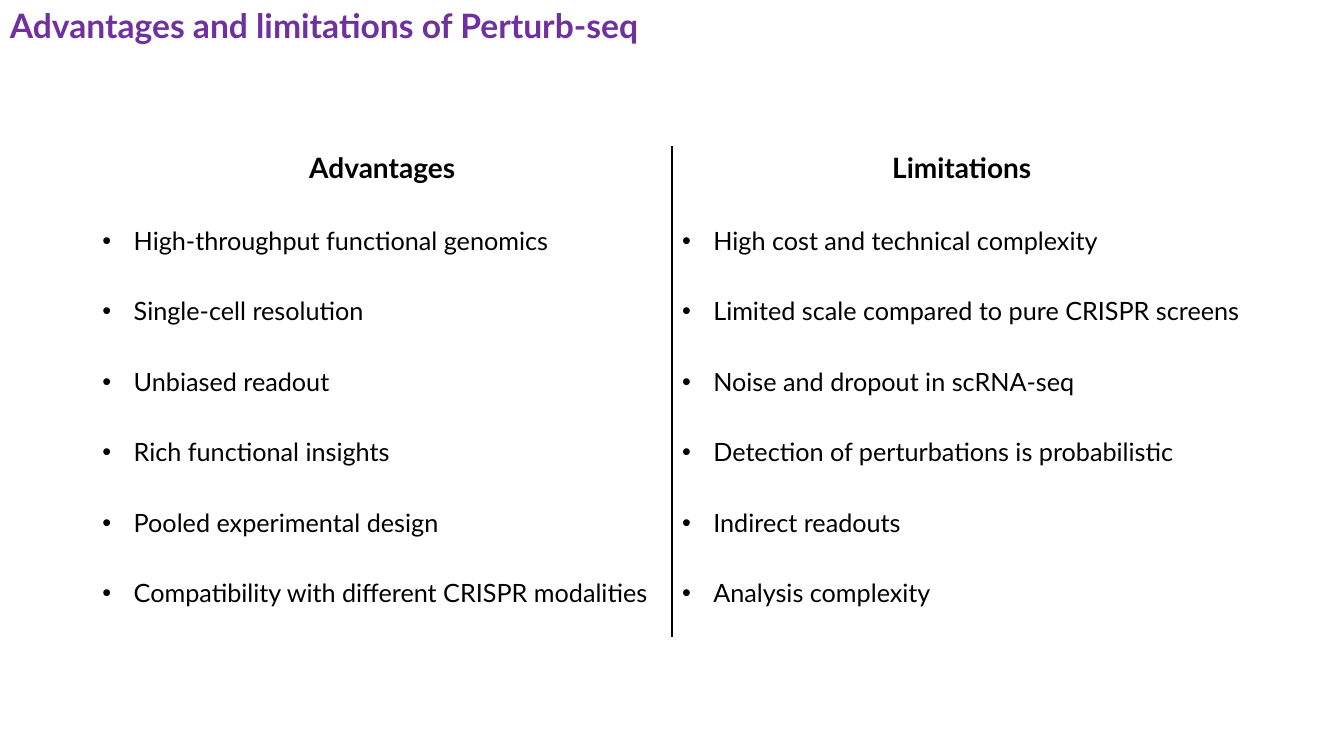
from dataclasses import dataclass

from lxml import etree
from pptx import Presentation
from pptx import util as u
from pptx.dml.color import RGBColor
from pptx.enum import shapes, text
from pptx.oxml.ns import qn


@dataclass(frozen=True)
class Theme:
    font: str = "Lato"
    title_color: str = "7030A0"
    ink: str = "000000"
    title_size: int = 24
    heading_size: int = 20
    body_size: int = 18
    line_width: float = 1.5
    bullet_indent: float = 0.31


COLUMNS, ROWS = 160, 90
TABLE_LEFT, TABLE_TOP, TABLE_WIDTH = 11, 17.4, 138
HEADING_ROW, ITEM_ROW, SPARE_ROW = 5.2, 8.4, 4.9
DIVIDER_BOTTOM = 75.8

COMPARISON = [
    ("Advantages", "Limitations"),
    ("High-throughput functional genomics", "High cost and technical complexity"),
    ("Single-cell resolution", "Limited scale compared to pure CRISPR screens"),
    ("Unbiased readout", "Noise and dropout in scRNA-seq"),
    ("Rich functional insights", "Detection of perturbations is probabilistic"),
    ("Pooled experimental design", "Indirect readouts"),
    ("Compatibility with different CRISPR modalities", "Analysis complexity"),
    ("", ""),
]


def write(frame, content, *, font, size, color, bold=False, align=None, indent=None):
    """Fill the first paragraph; an indent in inches makes it a bullet."""
    paragraph = frame.paragraphs[0]
    if indent is not None:
        properties = paragraph._p.get_or_add_pPr()
        properties.set("marL", str(u.Inches(indent)))
        properties.set("indent", str(-u.Inches(indent)))
        etree.SubElement(properties, qn("a:buFont"), typeface="Arial")
        etree.SubElement(properties, qn("a:buChar"), char="•")
    paragraph.alignment = align
    run = paragraph.add_run()
    run.text = content
    run.font.name = font
    run.font.size = u.Pt(size)
    run.font.bold = bold
    run.font.color.rgb = RGBColor.from_string(color)


class SlideBuilder:
    def __init__(self, presentation, theme):
        self.theme = theme
        self.column = presentation.slide_width / COLUMNS
        self.row = presentation.slide_height / ROWS
        self.slide = presentation.slides.add_slide(presentation.slide_layouts[6])

    def x(self, columns):
        return round(columns * self.column)

    def y(self, rows):
        return round(rows * self.row)

    def title(self, content, height):
        box = self.slide.shapes.add_textbox(0, 0, self.x(COLUMNS), self.y(height))
        frame = box.text_frame
        frame.word_wrap = True
        frame.auto_size = text.MSO_AUTO_SIZE.SHAPE_TO_FIT_TEXT
        frame.vertical_anchor = text.MSO_ANCHOR.MIDDLE
        write(frame, content, font=self.theme.font, size=self.theme.title_size,
              color=self.theme.title_color, bold=True, align=text.PP_ALIGN.JUSTIFY)

    def table(self, rows, heights, left, top, width):
        """Place a heading row above bulleted rows, without fills."""
        theme = self.theme
        heading = dict(size=theme.heading_size, bold=True, align=text.PP_ALIGN.CENTER)
        item = dict(size=theme.body_size, indent=theme.bullet_indent)
        frame = self.slide.shapes.add_table(
            len(rows), len(rows[0]), self.x(left), self.y(top),
            self.x(width), self.y(sum(heights)))
        table = frame.table
        table.first_row = table.horz_banding = False
        for index, (contents, height) in enumerate(zip(rows, heights)):
            table.rows[index].height = self.y(height)
            for cell, content in zip(table.rows[index].cells, contents):
                cell.fill.background()
                cell.vertical_anchor = text.MSO_ANCHOR.BOTTOM if index else text.MSO_ANCHOR.TOP
                if content:
                    write(cell.text_frame, content, font=theme.font, color=theme.ink,
                          **(item if index else heading))

    def vertical_line(self, column, top, bottom):
        line = self.slide.shapes.add_connector(
            shapes.MSO_CONNECTOR.STRAIGHT,
            self.x(column), self.y(bottom), self.x(column), self.y(top))
        line.line.color.rgb = RGBColor.from_string(self.theme.ink)
        line.line.width = u.Pt(self.theme.line_width)
        etree.SubElement(line._element.spPr, qn("a:effectLst"))


def main():
    presentation = Presentation()
    presentation.slide_width = u.Inches(13.33)
    presentation.slide_height = u.Inches(7.5)
    builder = SlideBuilder(presentation, Theme())
    builder.title("Advantages and limitations of Perturb-seq", height=6)
    heights = [HEADING_ROW] + [ITEM_ROW] * (len(COMPARISON) - 2) + [SPARE_ROW]
    builder.table(COMPARISON, heights, TABLE_LEFT, TABLE_TOP, TABLE_WIDTH)
    builder.vertical_line(COLUMNS / 2, TABLE_TOP, DIVIDER_BOTTOM)
    presentation.save("out.pptx")


if __name__ == "__main__":
    main()
